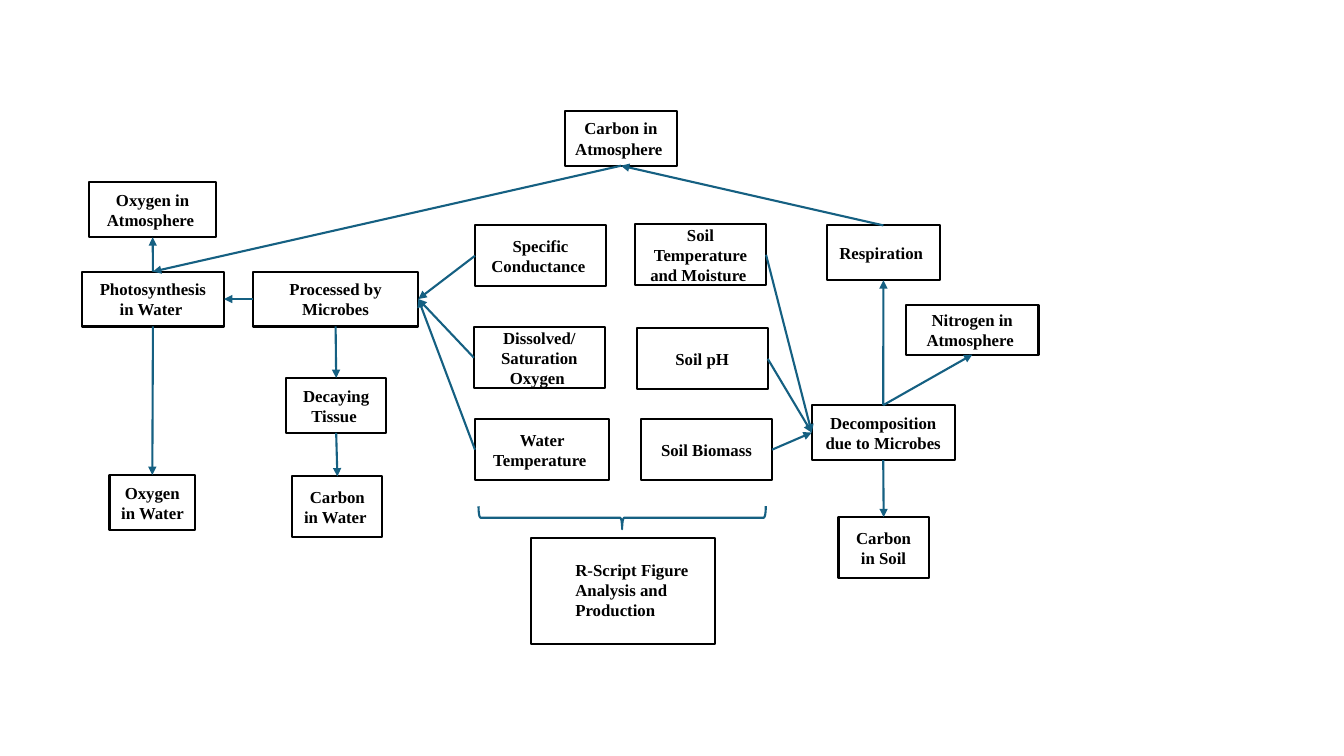
from dataclasses import dataclass

from lxml import etree
from pptx import Presentation
from pptx.dml.color import RGBColor
from pptx.enum.shapes import MSO_CONNECTOR, MSO_SHAPE
from pptx.enum.text import MSO_ANCHOR, PP_ALIGN
from pptx.oxml.ns import qn
from pptx.util import Pt

BLACK = RGBColor(0x00, 0x00, 0x00)
WHITE = RGBColor(0xFF, 0xFF, 0xFF)
TEAL = RGBColor(0x15, 0x60, 0x82)
FONT = "Times New Roman"
LINE = 1.5
LOW, TALL = 39.2, 43.4  # box heights
TOP, LEFT, BOTTOM, RIGHT = range(4)  # connection sites


@dataclass
class Box:
    key: str
    text: str
    left: float
    top: float
    width: float
    height: float = LOW


@dataclass
class Arrow:
    tail: str
    start: int
    head: str
    end: int


BOXES = [
    # Carbon and gases
    Box("soil", "Carbon in Soil", 599, 369.4, 64.4, TALL),
    Box("water", "Carbon in Water ", 208.8, 340.3, 64.4, TALL),
    Box("air", "Carbon in Atmosphere ", 403.6, 79.2, 80, LOW),
    Box("oxygen", "Oxygen in Water ", 78.2, 339.3, 61.2),
    Box("oxy air", "Oxygen in Atmosphere ", 63.7, 130.3, 90.7),
    Box("nitro", "Nitrogen in Atmosphere ", 647.3, 218, 94.5, 35.3),
    # Processes
    Box("tissue", "Decaying Tissue ", 204.5, 270, 71.3),
    Box("photo", "Photosynthesis in Water ", 58.5, 194, 101.5),
    Box("process", "Processed by Microbes", 180.7, 194, 118.1),
    Box("respire", "Respiration ", 590.6, 161, 80.8),
    Box("decay", "Decomposition due to Microbes", 579.8, 289.4, 102.2),
    # Water measures
    Box("heat", "Water Temperature ", 339.3, 299.5, 95.7, TALL),
    Box("salt", "Specific Conductance ", 339.3, 161, 93.6, TALL),
    Box("dissolved", "Dissolved/\nSaturation Oxygen ", 338.5, 233.8, 93.6, TALL),
    # Soil measures
    Box("moist", "Soil Temperature and Moisture ", 453.6, 160.3, 93.6, TALL),
    Box("biomass", "Soil Biomass", 457.9, 299.5, 93.6, TALL),
    Box("acid", "Soil pH", 454.8, 234.6, 93.6, TALL),
]

ARROWS = [
    Arrow("photo", BOTTOM, "oxygen", TOP),
    Arrow("photo", TOP, "oxy air", BOTTOM),
    Arrow("process", LEFT, "photo", RIGHT),
    Arrow("process", BOTTOM, "tissue", TOP),
    Arrow("tissue", BOTTOM, "water", TOP),
    Arrow("air", BOTTOM, "photo", TOP),
    Arrow("decay", BOTTOM, "soil", TOP),
    Arrow("decay", TOP, "respire", BOTTOM),
    Arrow("respire", TOP, "air", BOTTOM),
    Arrow("decay", TOP, "nitro", BOTTOM),
    *[Arrow(key, LEFT, "process", RIGHT) for key in ("salt", "dissolved", "heat")],
    *[Arrow(key, RIGHT, "decay", LEFT) for key in ("moist", "acid", "biomass")],
]


def write(frame, text: str, align: PP_ALIGN) -> None:
    frame.word_wrap = True
    for i, part in enumerate(text.split("\n")):
        para = frame.paragraphs[0] if i == 0 else frame.add_paragraph()
        para.alignment = align
        run = para.add_run()
        run.text = part
        run.font.name = FONT
        run.font.size = Pt(12)
        run.font.bold = True
        run.font.color.rgb = BLACK


def draw_box(slide, box: Box, kind: MSO_SHAPE):
    shape = slide.shapes.add_shape(
        kind, Pt(box.left), Pt(box.top), Pt(box.width), Pt(box.height))
    shape.shadow.inherit = False
    shape.fill.solid()
    shape.fill.fore_color.rgb = WHITE
    shape.line.color.rgb = BLACK
    shape.line.width = Pt(LINE)
    if box.text:
        shape.text_frame.vertical_anchor = MSO_ANCHOR.MIDDLE
        write(shape.text_frame, box.text, PP_ALIGN.CENTER)
    return shape


def draw_arrow(slide, arrow: Arrow, nodes: dict) -> None:
    link = slide.shapes.add_connector(MSO_CONNECTOR.STRAIGHT, 0, 0, 0, 0)
    link.begin_connect(nodes[arrow.tail], arrow.start)
    link.end_connect(nodes[arrow.head], arrow.end)
    link.line.color.rgb = TEAL
    link.line.width = Pt(LINE)
    tip = etree.SubElement(link.line._get_or_add_ln(), qn("a:tailEnd"))
    tip.set("type", "triangle")
    etree.SubElement(link._element.spPr, qn("a:effectLst"))


def draw_script(slide) -> None:
    draw_box(slide, Box("script", "", 379.4, 384.5, 131.4, 75.8), MSO_SHAPE.RECTANGLE)
    label = slide.shapes.add_textbox(Pt(403.9), Pt(396), Pt(101.5), Pt(51))
    write(label.text_frame, "R-Script Figure Analysis and Production", PP_ALIGN.LEFT)
    brace = slide.shapes.add_shape(
        MSO_SHAPE.LEFT_BRACE, Pt(436.2), Pt(267.2), Pt(16.4), Pt(205.2))
    brace.rotation = 270
    brace.shadow.inherit = False
    brace.fill.background()
    brace.line.color.rgb = TEAL
    brace.line.width = Pt(LINE)


def main() -> None:
    deck = Presentation()
    deck.slide_width, deck.slide_height = Pt(960), Pt(540)
    slide = deck.slides.add_slide(deck.slide_layouts[6])

    # Boxes, then the arrows that join them
    nodes = {box.key: draw_box(slide, box, MSO_SHAPE.FLOWCHART_PROCESS) for box in BOXES}
    for arrow in ARROWS:
        draw_arrow(slide, arrow, nodes)

    # Script step under the brace
    draw_script(slide)
    deck.save("out.pptx")


if __name__ == "__main__":
    main()
